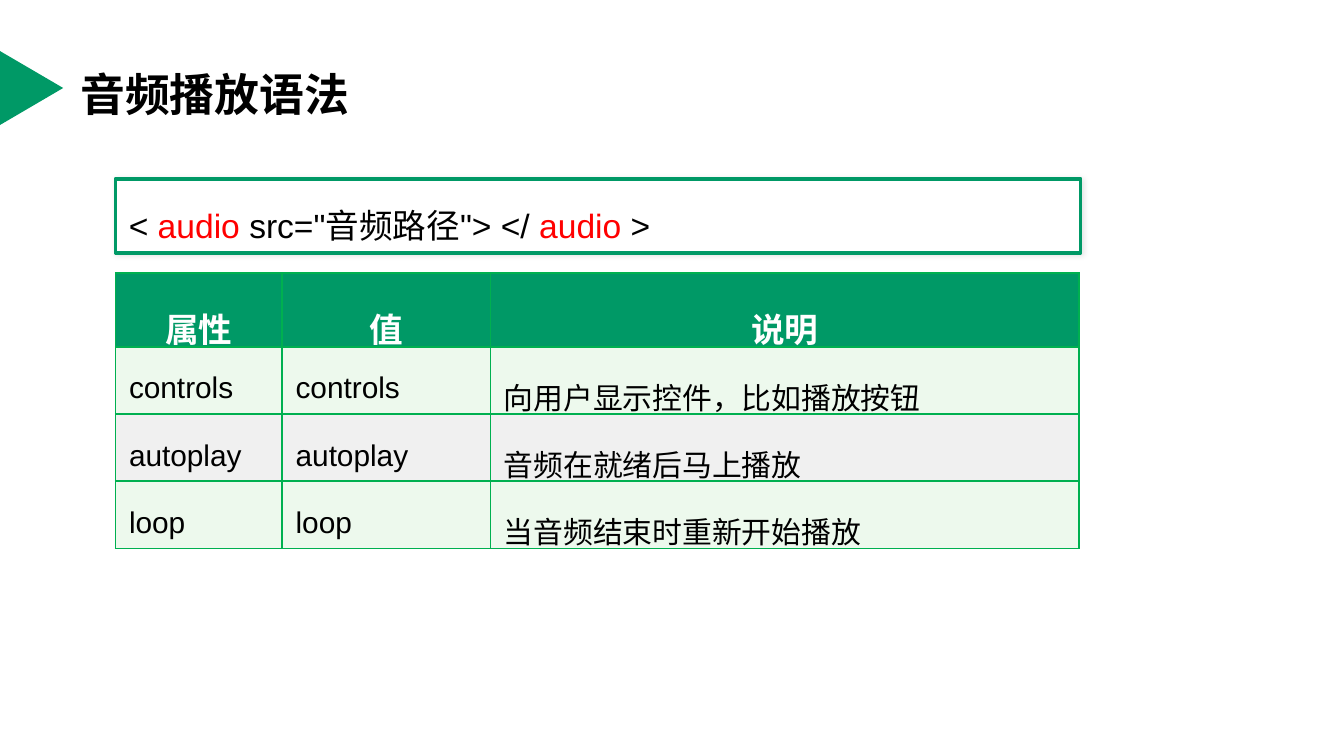
from pptx import Presentation
from pptx.dml.color import RGBColor as RGB
from pptx.enum.shapes import MSO_SHAPE as Shape
from pptx.enum.text import MSO_ANCHOR as Anchor, PP_ALIGN as Align
from pptx.oxml import parse_xml
from pptx.oxml.ns import nsdecls, qn
from pptx.util import Inches, Pt
from lxml.etree import SubElement

THEME = dict(
    green='009966', edge='00B050', mint='EDF9ED', grey='F0F0F0',
    white='FFFFFF', black='000000', red='FF0000',
    title=24, head=18, code=18, body=16,
    sans='Arial', han='Noto Sans CJK SC',
)
TITLE = '音频播放语法'
CODE = [('< ', 'black'), ('audio ', 'red'), ('src="音频路径"> </ ', 'black'),
        ('audio', 'red'), (' >', 'black')]
ROWS = [
    ('属性', '值', '说明'),
    ('controls', 'controls', '向用户显示控件，比如播放按钮'),
    ('autoplay', 'autoplay', '音频在就绪后马上播放'),
    ('loop', 'loop', '当音频结束时重新开始播放'),
]
WIDTHS = [1.24, 1.55, 4.38]
HEIGHTS = [0.55, 0.5, 0.5, 0.5]
LEFT, WIDE = 0.86, 7.18


def tint(name):
    return RGB.from_string(THEME[name])


def paint(part, name):
    part.fill.solid()
    part.fill.fore_color.rgb = tint(name)


def style(part, **values):
    for key, value in values.items():
        setattr(part, key, value)


def write(para, text, size, color='black', face='sans', bold=False):
    run = para.add_run()
    run.text = text
    style(run.font, size=Pt(THEME[size]), name=THEME[face], bold=bold)
    run.font.color.rgb = tint(color)
    if face == 'han':
        SubElement(run.font._element, qn('a:ea'), typeface=THEME[face])


def border(cell):
    props = cell._tc.get_or_add_tcPr()
    for spot, side in enumerate(('lnL', 'lnR', 'lnT', 'lnB')):
        props.insert(spot, parse_xml(
            f'<a:{side} {nsdecls("a")} w="{Pt(1)}"><a:solidFill>'
            f'<a:srgbClr val="{THEME["edge"]}"/></a:solidFill></a:{side}>'))


deck = Presentation()
style(deck, slide_width=Inches(10), slide_height=Inches(10) * 9 // 16)
slide = deck.slides.add_slide(deck.slide_layouts[6])
shapes = slide.shapes

mark = shapes.add_shape(Shape.ISOSCELES_TRIANGLE, Inches(-0.04), Inches(0.42),
                        Inches(0.55), Inches(0.47))
mark.rotation = 90
mark.shadow.inherit = False
paint(mark, 'green')
mark.line.fill.background()

title = shapes.add_textbox(Inches(0.5), Inches(0.23), Inches(9), Inches(0.94))
style(title.text_frame, word_wrap=True, vertical_anchor=Anchor.MIDDLE)
write(title.text_frame.paragraphs[0], TITLE, 'title', face='han', bold=True)

box = shapes.add_shape(Shape.ROUNDED_RECTANGLE, Inches(LEFT), Inches(1.33),
                       Inches(WIDE), Inches(0.55))
box.adjustments[0] = 0
paint(box, 'white')
box.line.color.rgb = tint('green')
box.line.width = Pt(2)
box.shadow.inherit = False
glow = box._element.spPr.find(qn('a:effectLst'))
glow.append(parse_xml(
    f'<a:outerShdw {nsdecls("a")} blurRad="{Pt(3)}" dist="0" dir="0">'
    f'<a:srgbClr val="{THEME["black"]}"><a:alpha val="10000"/></a:srgbClr>'
    '</a:outerShdw>'))
style(box.text_frame, word_wrap=True, vertical_anchor=Anchor.MIDDLE,
      margin_top=0, margin_bottom=Inches(0.01))
line = box.text_frame.paragraphs[0]
style(line, alignment=Align.LEFT, line_spacing=1.5)
for text, color in CODE:
    write(line, text, 'code', color)

table = shapes.add_table(len(ROWS), len(WIDTHS), Inches(LEFT), Inches(2.03),
                         Inches(WIDE), Inches(sum(HEIGHTS))).table
for col, width in zip(table.columns, WIDTHS):
    col.width = Inches(width)
for r, texts in enumerate(ROWS):
    table.rows[r].height = Inches(HEIGHTS[r])
    head = r == 0
    fill = 'green' if head else 'mint' if r % 2 else 'grey'
    look = (dict(size='head', color='white', face='han', bold=True)
            if head else dict(size='body'))
    for c, text in enumerate(texts):
        cell = table.cell(r, c)
        paint(cell, fill)
        border(cell)
        cell.vertical_anchor = Anchor.MIDDLE
        para = cell.text_frame.paragraphs[0]
        style(para, line_spacing=1.5,
              alignment=Align.CENTER if head else Align.LEFT)
        write(para, text, **look)

deck.save("out.pptx")
